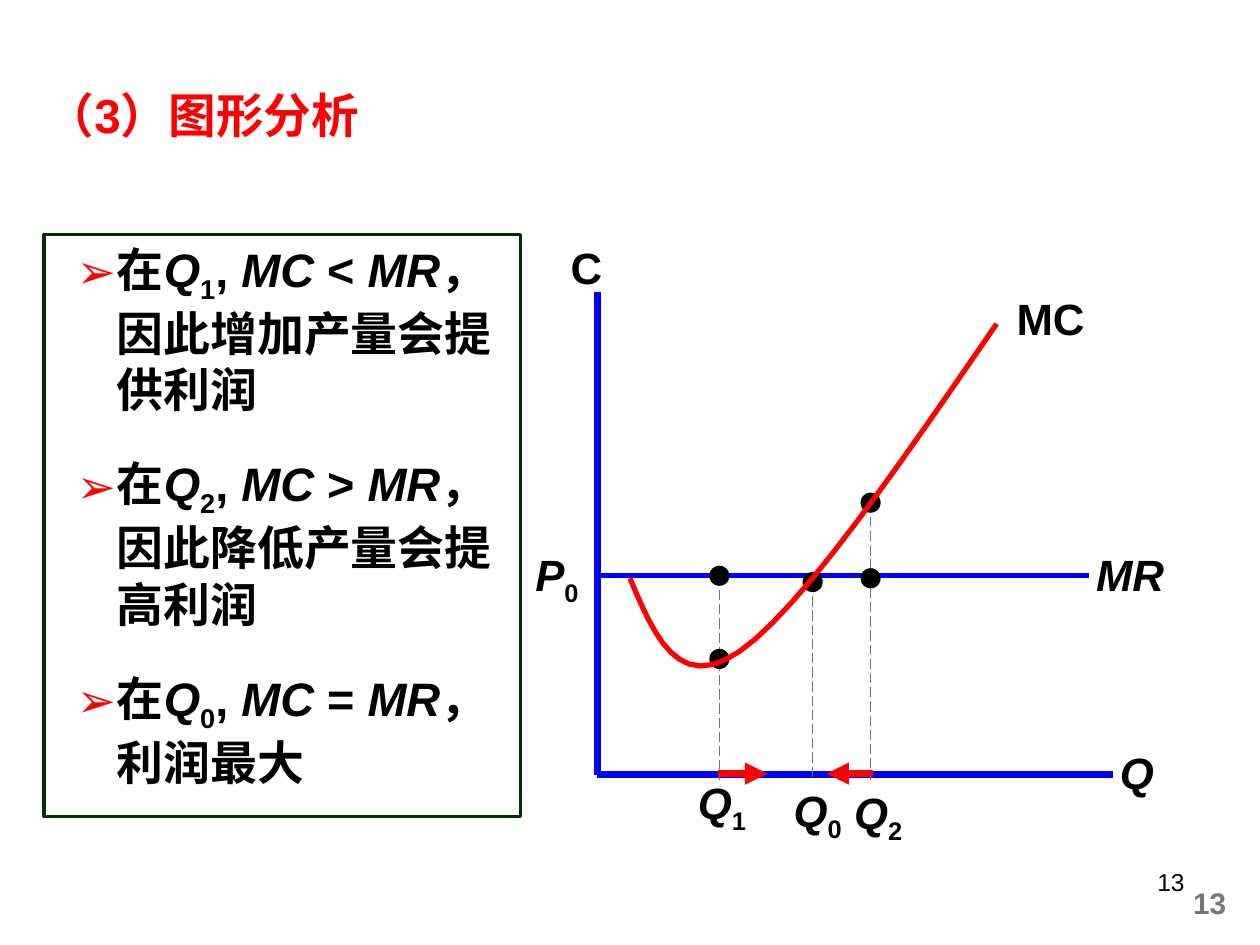
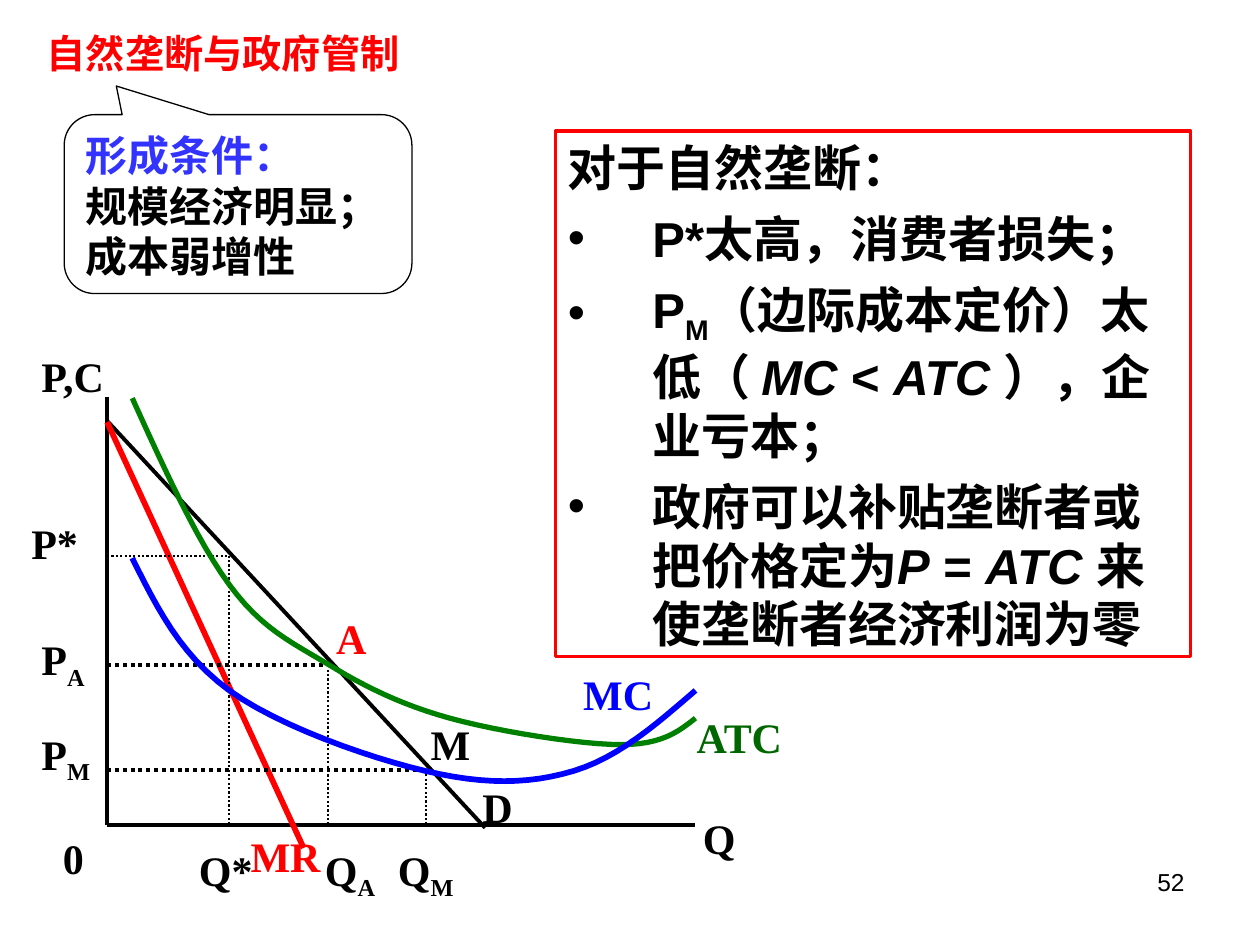
from lxml.etree import SubElement as Sub
from pptx import Presentation
from pptx.dml.color import RGBColor as Rgb
from pptx.enum.dml import MSO_LINE as Dash
from pptx.enum.shapes import MSO_CONNECTOR as Link, MSO_SHAPE as Kind
from pptx.enum.text import MSO_ANCHOR as Anchor, PP_ALIGN as Align
from pptx.oxml.ns import qn
from pptx.util import Pt

PX = 9144  # 100 px to the inch
HUES = {"black": "000000", "red": "FF0000", "blue": "0000FF", "gray": "777777",
        "green": "008000", "leaf": "006600", "pine": "003300", "sky": "3333FF",
        "white": "FFFFFF"}
RGB = {name: Rgb.from_string(hue) for name, hue in HUES.items()}
MARKS = {"➢": ("red", 48, 32), "•": ("black", 67, 67)}  # colour, margin, hang
STEPS = 12
DOT = 16


def write(frame, lines, size, hue="black", font="Arial", bold=True,
          align=Align.LEFT, anchor=Anchor.TOP, gap=0):
    """Fill a frame; | parts runs, / starts an italic run, _ a subscript."""
    frame.word_wrap = True
    frame.vertical_anchor = anchor
    frame.margin_left = frame.margin_right = 10 * PX
    frame.margin_top = frame.margin_bottom = 5 * PX
    for i, line in enumerate(lines):
        para = frame.add_paragraph() if i else frame.paragraphs[0]
        para.alignment = align
        if line[0] in MARKS:
            tint, left, hang = MARKS[line[0]]
            props = para._p.get_or_add_pPr()
            props.set("marL", str(left * PX))
            props.set("indent", str(-hang * PX))
            Sub(Sub(props, qn("a:buClr")), qn("a:srgbClr"), val=HUES[tint])
            Sub(props, qn("a:buFont"), typeface="Arial")
            Sub(props, qn("a:buChar"), char=line[0])
            line = line[1:]
        para.space_before = Pt(gap if i else 0)
        for part in line.split("|"):
            run = para.add_run()
            run.text = part.lstrip("/_")
            run.font.size, run.font.name = Pt(size), font
            run.font.bold, run.font.italic = bold, part[0] == "/"
            run.font.color.rgb = RGB[hue]
            if part[0] == "_":
                run.font._element.set("baseline", "-25000")


def panel(slide, kind, spot, hue, width, fill="white"):
    shape = slide.shapes.add_shape(kind, *[n * PX for n in spot])
    shape.shadow.inherit = False
    shape.fill.solid()
    shape.fill.fore_color.rgb = RGB[fill]
    shape.line.color.rgb = RGB[hue]
    shape.line.width = Pt(width)
    return shape


deck = Presentation()
deck.slide_width, deck.slide_height = 1000 * PX, 750 * PX

# Each quantity on the first plot has its dots; each corner on the second
# is a price and quantity.
dots = [(571, 457), (571, 523), (645, 462), (691, 399), (691, 459)]
tops = {x: min(y for q, y in dots if q == x) for x, _ in dots}
drops = [(x, y, x, 619) for x, y in tops.items()]
left, base = 85, 655
corners = [(182, 441), (260, 528), (338, 611)]
levels = [(left, y, x, y) for x, y in corners]
falls = [(x, y, x, base) for x, y in corners]

# strokes: colour, width, dash, arrowhead, segments
# curves: colour, width, points passed through
# labels: colour, then text and place of each
plots = [
    {"title": ("（3）图形分析", (27, 52, 900, 78), 27.2, "Arial", 1),
     "page": "13", "font": "Arial", "size": 25, "dots": dots,
     "strokes": [
         ("blue", 3, None, None, [(473, 457, 864, 457)]),
         ("blue", 4, None, None, [(474, 232, 474, 615), (474, 615, 883, 615)]),
         ("gray", 0.75, Dash.LONG_DASH, None, drops),
         ("red", 4.25, None, "tailEnd",
          [(570, 614, 609, 614), (693, 614, 656, 614)])],
     "curves": [("red", 3, [(500, 459), (587, 517), (791, 257)])],
     "labels": [("black", [
         ("/P|_0", 415, 430), ("/MR", 860, 430), ("/Q", 879, 587),
         ("C", 443, 186), ("/Q|_0", 620, 617), ("/Q|_1", 544, 611),
         ("/Q|_2", 668, 619), ("MC", 797, 227)])]},
    {"title": ("自然垄断与政府管制", (27, 21, 433, 49), 22.4,
               "Noto Sans CJK SC", 0.8),
     "page": "52", "font": "Times New Roman", "size": 24, "dots": [],
     "strokes": [
         ("black", 2.25, None, None,
          [(left, 315, left, base), (left, base, 552, base),
           (left, 334, 385, 657)]),
         ("red", 3.25, None, None, [(left, 335, 241, 673)]),
         ("black", 2.25, Dash.ROUND_DOT, None, levels[1:]),
         ("black", 1.25, Dash.ROUND_DOT, None, levels[:1] + falls)],
     "curves": [
         ("green", 3, [(105, 316), (182, 464), (260, 527), (357, 570),
                       (493, 591), (552, 570)]),
         ("blue", 3.25, [(105, 443), (182, 548), (338, 612), (455, 612),
                         (552, 548)])],
     "labels": [
         ("black", [
             ("P,C", 23, 273), ("P*", 15, 406), ("P|_A", 23, 498),
             ("P|_M", 23, 573), ("0", 40, 656), ("Q*", 148, 665),
             ("Q|_A", 248, 665), ("Q|_M", 306, 665), ("M", 332, 565),
             ("D", 373, 615), ("Q", 548, 640)]),
         ("red", [("A", 257, 481), ("MR", 189, 654)]),
         ("blue", [("MC", 453, 526)]),
         ("leaf", [("ATC", 543, 560)])]},
]

slides = []
for plot in plots:
    slide = deck.slides.add_slide(deck.slide_layouts[5])
    slides.append(slide)
    shapes = slide.shapes
    text, spot, size, font, pitch = plot["title"]
    title = shapes.title
    title.left, title.top, title.width, title.height = [n * PX for n in spot]
    write(title.text_frame, [text], size, "red", font, anchor=Anchor.MIDDLE)
    title.text_frame.paragraphs[0].line_spacing = pitch

    page = shapes.add_textbox(717 * PX, 683 * PX, 233 * PX, 52 * PX)
    write(page.text_frame, [plot["page"]], 14, bold=False, align=Align.RIGHT)

    for hue, width, dash, head, parts in plot["strokes"]:
        for ends in parts:
            line = shapes.add_connector(Link.STRAIGHT, *[n * PX for n in ends])
            line.line.color.rgb = RGB[hue]
            line.line.width = Pt(width)
            if dash:
                line.line.dash_style = dash
            if head:
                Sub(line.line._get_or_add_ln(), qn("a:" + head),
                    type="triangle")
            Sub(line._element.spPr, qn("a:effectLst"))

    for x, y in plot["dots"]:
        dot = panel(slide, Kind.OVAL, (x - DOT // 2, y - DOT // 2, DOT, DOT),
                    "black", 0.75, "black")
        dot.line.fill.background()

    for hue, width, knots in plot["curves"]:
        # Inner slopes follow the neighbours; the ends bend halfway to them.
        last = len(knots) - 1
        slopes = [[(b - a) / 6 for a, b in zip(knots[i - 1], knots[i + 1])]
                  for i in range(1, last)]
        ins = [[p - s for p, s in zip(*pair)]
               for pair in zip(knots[1:], slopes)]
        outs = [[p + s for p, s in zip(*pair)]
                for pair in zip(knots[1:], slopes)]
        outs.insert(0, [(a + b) / 2 for a, b in zip(knots[0], ins[0])])
        ins.append([(a + b) / 2 for a, b in zip(knots[last], outs[-1])])
        trace = []
        for quad in zip(knots, outs, ins, knots[1:]):
            for step in range(1, STEPS + 1):
                t = step / STEPS
                u = 1 - t
                mix = (u ** 3, 3 * u * u * t, 3 * u * t * t, t ** 3)
                trace.append([PX * sum(m * n for m, n in zip(mix, axis))
                              for axis in zip(*quad)])
        pen = shapes.build_freeform(*[n * PX for n in knots[0]])
        pen.add_line_segments(trace, close=False)
        curve = pen.convert_to_shape()
        curve.shadow.inherit = False
        curve.fill.background()
        curve.line.color.rgb = RGB[hue]
        curve.line.width = Pt(width)

    for hue, names in plot["labels"]:
        for text, x, y in names:
            box = shapes.add_textbox(x * PX, y * PX, 92 * PX, 50 * PX)
            write(box.text_frame, [text], plot["size"], hue, plot["font"])

extra = slides[0].shapes.add_textbox(908 * PX, 697 * PX, 75 * PX, 40 * PX)
write(extra.text_frame, ["13"], 17, "gray", align=Align.RIGHT)

cases = panel(slides[0], Kind.RECTANGLE, (35, 186, 378, 462), "pine", 2)
write(cases.text_frame, [
    "➢在|/Q|_1|, |/MC| < |/MR|，因此增加产量会提供利润",
    "➢在|/Q|_2|, |/MC| > |/MR|，因此降低产量会提高利润",
    "➢在|/Q|_0|, |/MC| = |/MR|，利润最大"], 26.8, gap=21.7)

rules = panel(slides[1], Kind.RECTANGLE, (441, 104, 504, 417), "red", 2)
write(rules.text_frame, [
    "对于自然垄断：",
    "•P*太高，消费者损失；",
    "•P|_M|（边际成本定价）太低（ |/MC| < |/ATC |），企业亏本；",
    "•政府可以补贴垄断者或 把价格定为|/P| = |/ATC |来使垄断者经济利润为零"],
    28, gap=7)

call = panel(slides[1], Kind.ROUNDED_RECTANGULAR_CALLOUT, (51, 91, 276, 142),
             "black", 0.75)
for i, value in enumerate((-0.35, -0.66, 0.17)):
    call.adjustments[i] = value
write(call.text_frame, ["形成条件：", "规模经济明显；", "成本弱增性"], 24)
call.text_frame.paragraphs[0].runs[0].font.color.rgb = RGB["sky"]

deck.save("out.pptx")
